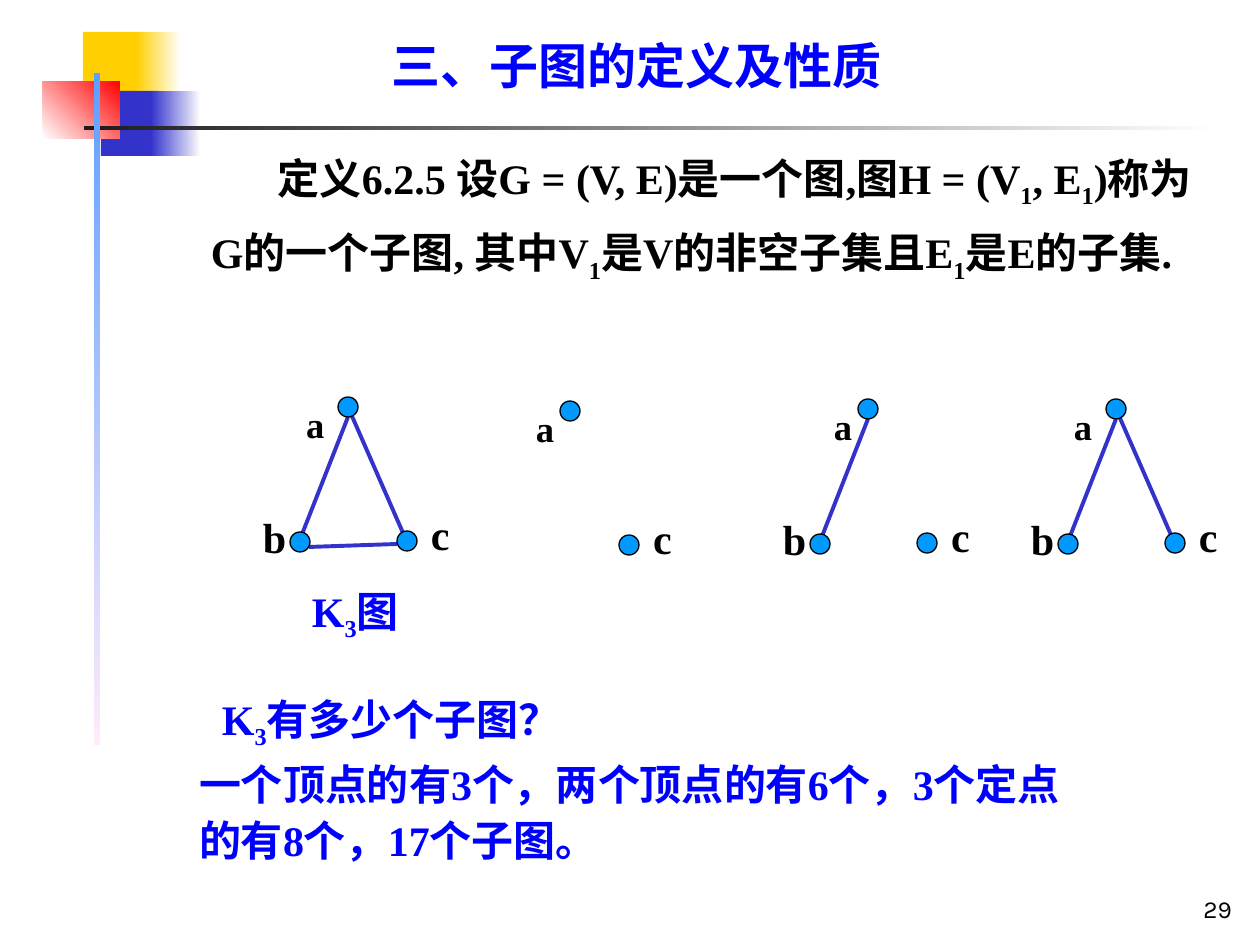
from lxml import etree
from pptx import Presentation
from pptx import util as u
from pptx.dml.color import RGBColor
from pptx.enum import shapes, text
from pptx.oxml.ns import qn

PX = 914400 / 126
COLORS = {
    "yellow": "FFCF01", "indigo": "3333CC", "red": "FF0000", "white": "FFFFFF",
    "ink": "1C1C1C", "sky": "5E9EFF", "pink": "FFEBFA", "black": "000000",
    "blue": "0000FF", "node": "0099FF",
}
SERIF = {"name": "Times New Roman", "size": u.Pt(24), "bold": True}
NODES = {"a": (98, 53), "b": (50, 188), "c": (157, 187)}
EDGES = {"ab": (98, 63, 49, 188), "ac": (98, 53, 157, 188), "bc": (59, 193, 147, 190)}
RADIUS = 10


def px(n):
    return u.Emu(round(n * PX))


def rgb(name):
    return RGBColor.from_string(COLORS[name])


def set_font(font, color, values):
    for key, value in values.items():
        setattr(font, key, value)
    font.color.rgb = rgb(color)


def add_run(p, content, color, values, baseline=0):
    if not content:
        return
    r = p.add_run()
    r.text = content
    set_font(r.font, color, values)
    if baseline:
        r._r.get_or_add_rPr().set("baseline", str(baseline))


def write(tf, lines, color, values=SERIF, spacing=1.0, align=text.PP_ALIGN.LEFT,
          margin=0, indent=0, baseline=0):
    for i, line in enumerate(lines):
        p = tf.add_paragraph() if i else tf.paragraphs[0]
        p.alignment = align
        p.line_spacing = spacing
        p.space_before = u.Pt(6 if i else 0)
        pPr = p._p.get_or_add_pPr()
        pPr.set("marL", str(px(margin)))
        pPr.set("indent", str(px(indent)))
        first, *rest = line.split("_")
        add_run(p, first, color, values, baseline)
        for part in rest:
            add_run(p, part[0], color, values, -25000)
            add_run(p, part[1:], color, values)


def set_frame(tf, inset=(0, 0), wrap=True, anchor=text.MSO_ANCHOR.TOP):
    x, y = inset
    frame = {"margin_left": px(x), "margin_right": px(x), "margin_top": px(y),
             "margin_bottom": px(y), "word_wrap": wrap, "vertical_anchor": anchor,
             "auto_size": text.MSO_AUTO_SIZE.NONE}
    for key, value in frame.items():
        setattr(tf, key, value)


def add_text(s, box, lines, color, inset=(0, 0), wrap=True,
             anchor=text.MSO_ANCHOR.TOP, **fmt):
    tf = s.shapes.add_textbox(*map(px, box)).text_frame
    set_frame(tf, inset, wrap, anchor)
    write(tf, lines, color, **fmt)


def add_block(s, box, start, end=None, angle=0):
    sp = s.shapes.add_shape(shapes.MSO_SHAPE.RECTANGLE, *map(px, box))
    sp.shadow.inherit = False
    sp.line.fill.background()
    if end is None:
        sp.fill.solid()
        sp.fill.fore_color.rgb = rgb(start)
        return
    sp.fill.gradient()
    sp.fill.gradient_angle = (360 - angle) % 360
    for stop, color in zip(sp.fill.gradient_stops, (start, end)):
        stop.color.rgb = rgb(color)


def add_decoration(s, left, top):
    for box, *fill in [
        ((40, 0, 60, 65), "yellow"),
        ((93, 0, 45, 65), "yellow", "white"),
        ((58, 59, 58, 65), "indigo"),
        ((108, 59, 50, 65), "indigo", "white"),
        ((0, 49, 77, 58), "white", "red", 315),
        ((41, 94, 1134, 4), "ink", "white"),
        ((51, 41, 6, 672), "sky", "pink", 90),
    ]:
        x, y, w, h = box
        add_block(s, (left + x, top + y, w, h), *fill)


def add_title(s, box):
    sp = s.shapes.title
    sp.left, sp.top, sp.width, sp.height = map(px, box)
    set_frame(sp.text_frame)
    write(sp.text_frame, ["三、子图的定义及性质"], "blue", {**SERIF, "size": u.Pt(28)}, 0.9)


def add_edge(s, x1, y1, x2, y2):
    cx = s.shapes.add_connector(shapes.MSO_CONNECTOR.STRAIGHT, *map(px, (x1, y1, x2, y2)))
    cx.line.color.rgb = rgb("indigo")
    cx.line.width = u.Pt(2.25)
    etree.SubElement(cx._element.spPr, qn("a:effectLst"))


def add_node(s, x, y):
    box = (x - RADIUS, y - RADIUS, 2 * RADIUS, 2 * RADIUS)
    sp = s.shapes.add_shape(shapes.MSO_SHAPE.OVAL, *map(px, box))
    sp.shadow.inherit = False
    sp.fill.solid()
    sp.fill.fore_color.rgb = rgb("node")
    sp.line.color.rgb = rgb("black")
    sp.line.width = u.Pt(0.75)


def add_graph(s, left, top, nodes, edges, a_label):
    for edge in edges:
        x1, y1, x2, y2 = EDGES[edge]
        add_edge(s, left + x1, top + y1, left + x2, top + y2)
    labels = {"a": (a_label, 0, 43, 100), "b": (0, 152, 48, 63), "c": (168, 149, 44, 63)}
    for node in nodes:
        x, y = NODES[node]
        add_node(s, left + x, top + y)
        x, y, w, h = labels[node]
        fmt = {"values": {**SERIF, "size": u.Pt(36)}, "baseline": -25000} if node == "a" else {}
        add_text(s, (left + x, top + y, w, h), [node], "black", (13, 6), False, **fmt)


def main():
    prs = Presentation()
    prs.slide_width, prs.slide_height = u.Inches(10), u.Inches(7.5)
    s = prs.slides.add_slide(prs.slide_layouts[5])
    add_decoration(s, 43, 32)
    add_title(s, (392, 42, 525, 53))
    add_text(s, (164, 135, 1034, 223),
             ["定义6.2.5 设G = (V, E)是一个图,图H = (V_1, E_1)称为G的一个子图, "
              "其中V_1是V的非空子集且E_1是E的子集."],
             "black", spacing=1.3, margin=47, indent=67)
    for graph in [
        (250, 354, "abc", ("ab", "ac", "bc"), 43),
        (472, 358, "ac", (), 51),
        (770, 356, "abc", ("ab",), 51),
        (1018, 356, "abc", ("ab", "ac"), 43),
    ]:
        add_graph(s, *graph)
    add_text(s, (312, 586, 89, 97), ["K_3图"], "blue", spacing=0.9, margin=48, indent=-48)
    add_text(s, (222, 694, 444, 52), ["K_3有多少个子图？"], "blue", spacing=0.9)
    add_text(s, (199, 764, 1016, 101),
             ["一个顶点的有3个，两个顶点的有6个，3个定点", "的有8个，17个子图。"],
             "blue", spacing=0.9)
    add_text(s, (983, 866, 262, 63), ["29"], "black", (13, 6), anchor=text.MSO_ANCHOR.BOTTOM,
             values={"name": "Karla", "size": u.Pt(14)}, align=text.PP_ALIGN.RIGHT)
    prs.save("out.pptx")


if __name__ == "__main__":
    main()
